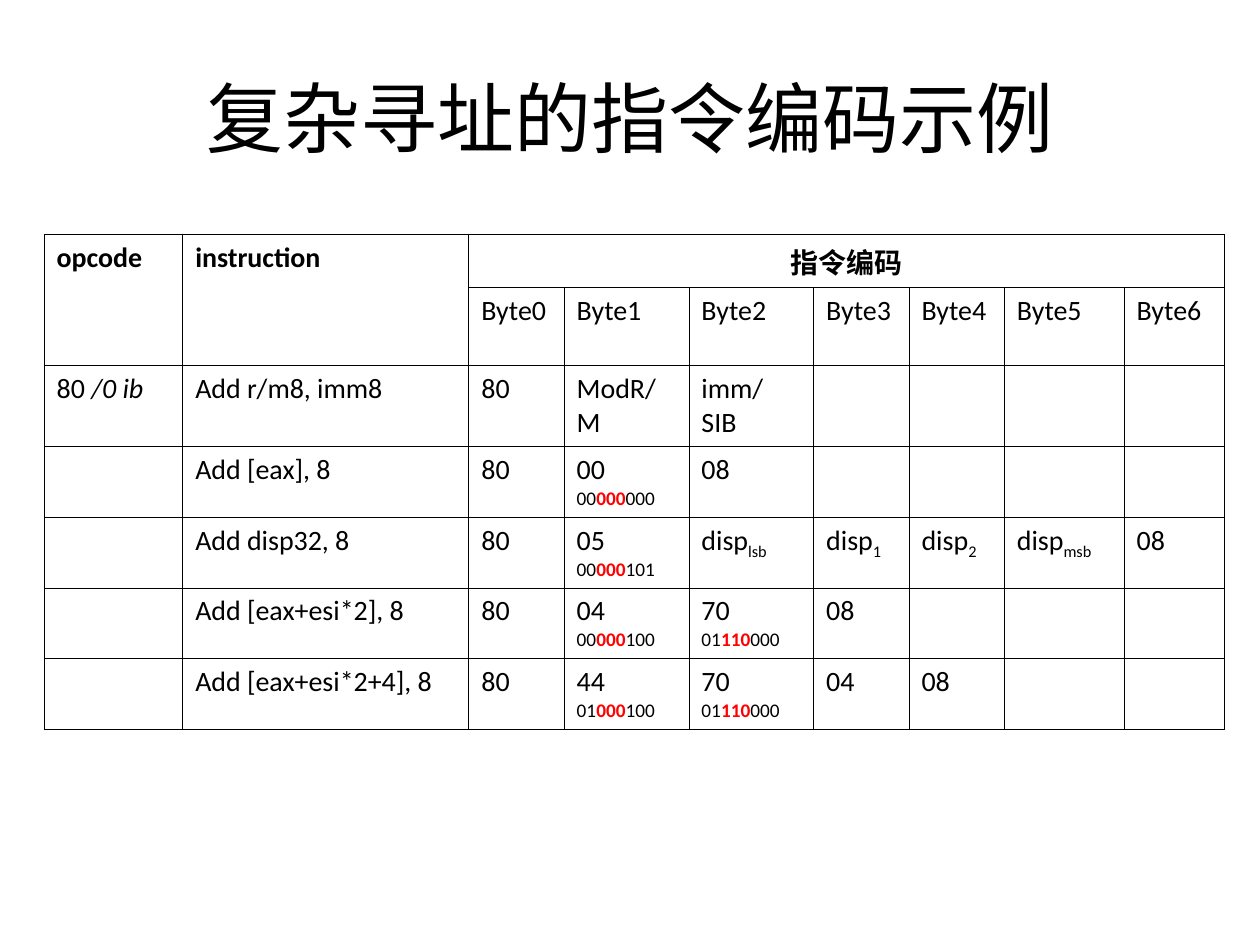
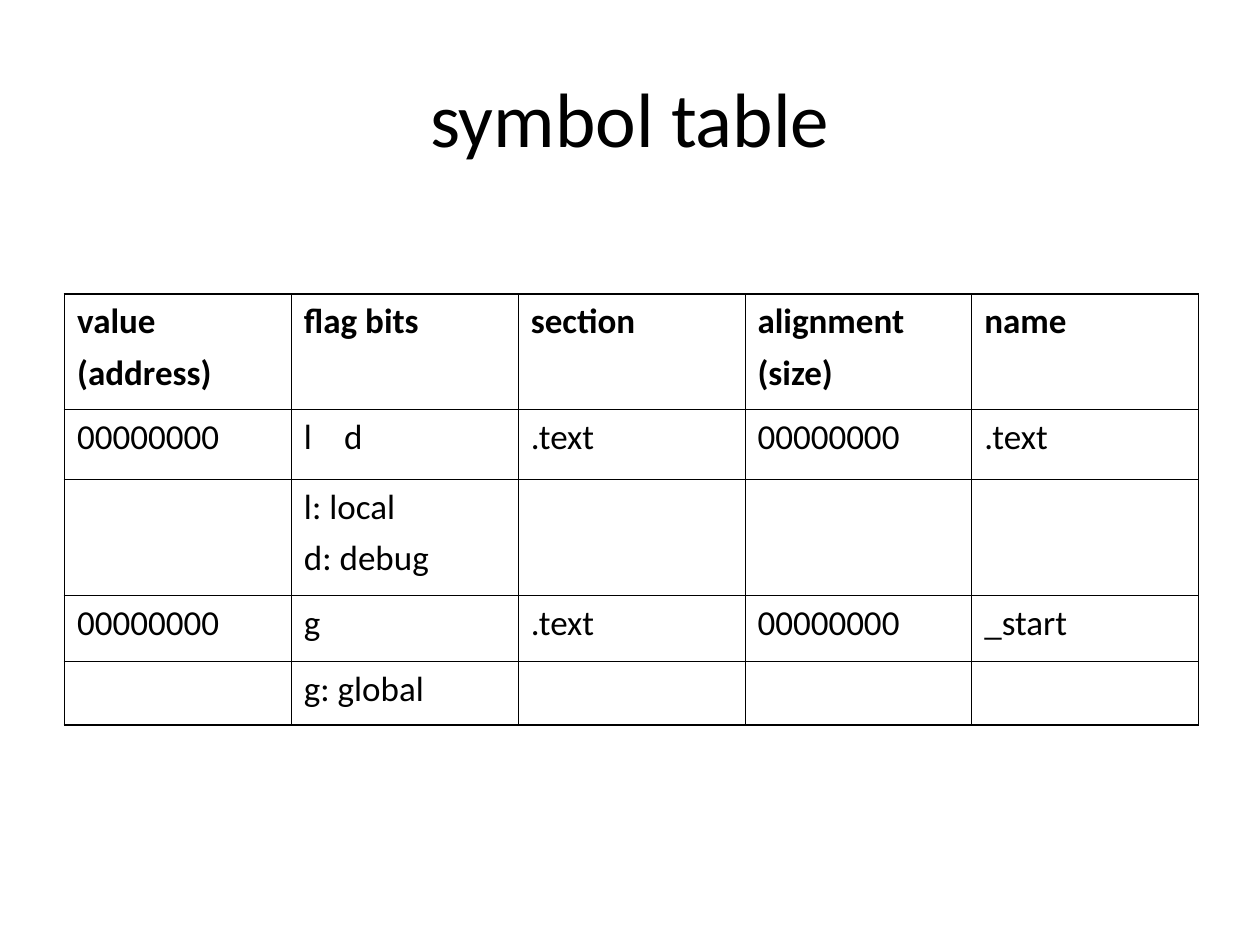
"""Build two slides: x86 instruction encoding examples and a symbol table."""
from lxml.etree import SubElement
from pptx import Presentation
from pptx.dml.color import RGBColor
from pptx.enum.text import MSO_ANCHOR, PP_ALIGN
from pptx.oxml.ns import qn
from pptx.util import Pt

COLORS = {"ink": "000000", "field": "FF0000"}
FONT = "Calibri"
TITLE_BOX = (36, 21.6, 648, 90)
TITLE_SIZE = 44
THIN, THICK = 0.45, 1.08
TAB_STOP = 23

HEAD = {"bold": True}
ITALIC = {"italic": True}
SUBSCRIPT = {"baseline": -25000}
BITS = {"size": 11}
FIELD_BITS = {"size": 11, "bold": True, "color": "field"}


def coded(value, mod, field, rm):
    return [[(value, {})], [(mod, BITS), (field, FIELD_BITS), (rm, BITS)]]


def disp(part):
    return [[("disp", {}), (part, SUBSCRIPT)]]


ENCODING = {
    "title": "复杂寻址的指令编码示例",
    "origin": (25.2, 134),
    "widths": [79.2, 163.5, 54.5, 71.3, 71.3, 54.5, 54.5, 68.4, 57.6],
    "heights": [30.2, 44.6, 46.4] + [40.3] * 4,
    "size": 16,
    "gap": 0,
    "outline": THIN,
    "merges": [(0, 0, 1, 0), (0, 1, 1, 1), (0, 2, 0, 8)],
    "centered": [(0, 2)],
    "rows": [
        ["opcode", "instruction", "指令编码"],
        ["", ""] + [f"Byte{number}" for number in range(7)],
        [[[("80 ", {}), ("/0 ib", ITALIC)]], "Add r/m8, imm8", "80", "ModR/M", "imm/\nSIB"],
        ["", "Add [eax], 8", "80", coded("00", "00", "000", "000"), "08"],
        ["", "Add disp32, 8", "80", coded("05", "00", "000", "101"),
         disp("lsb"), disp("1"), disp("2"), disp("msb"), "08"],
        ["", "Add [eax+esi*2], 8", "80", coded("04", "00", "000", "100"),
         coded("70", "01", "110", "000"), "08"],
        ["", "Add [eax+esi*2+4], 8", "80", coded("44", "01", "000", "100"),
         coded("70", "01", "110", "000"), "04", "08"],
    ],
}

SYMBOLS = {
    "title": "symbol table",
    "origin": (36.9, 168),
    "widths": [129.6] * 5,
    "heights": [66, 40, 66.2, 38, 36],
    "size": 20,
    "gap": 5,
    "outline": THICK,
    "merges": [],
    "centered": [],
    "rows": [
        ["value\n(address)", "flag bits", "section", "alignment\n(size)", "name"],
        ["00000000", "l\td", ".text", "00000000", ".text"],
        ["", "l: local\nd: debug"],
        ["00000000", "g", ".text", "00000000", "_start"],
        ["", "g: global"],
    ],
}


def add_run(paragraph, text, size, bold=False, italic=False, color="ink", baseline=None):
    run = paragraph.add_run()
    run.text = text
    font = run.font
    font.name, font.size, font.bold, font.italic = FONT, Pt(size), bold, italic
    font.color.rgb = RGBColor.from_string(COLORS[color])
    if baseline:
        font._element.set("baseline", str(baseline))


def add_tab_stop(paragraph):
    stops = SubElement(paragraph._p.get_or_add_pPr(), qn("a:tabLst"))
    SubElement(stops, qn("a:tab"), pos=str(Pt(TAB_STOP)), algn="l")


def fill_cell(cell, content, size, gap, style, align):
    if not content:
        return
    if isinstance(content, str):
        content = [[(line, style)] for line in content.split("\n")]
    for index, runs in enumerate(content):
        frame = cell.text_frame
        paragraph = frame.add_paragraph() if index else frame.paragraphs[0]
        paragraph.alignment = align
        if index and gap:
            paragraph.space_before = Pt(gap)
        if any("\t" in text for text, _ in runs):
            add_tab_stop(paragraph)
        for text, run_style in runs:
            add_run(paragraph, text, **{"size": size, **run_style})


def draw_borders(cell, widths):
    properties = cell._tc.get_or_add_tcPr()
    for side, width in zip("LRTB", widths):
        line = SubElement(properties, qn(f"a:ln{side}"), w=str(Pt(width)))
        fill = SubElement(line, qn("a:solidFill"))
        SubElement(fill, qn("a:srgbClr"), val=COLORS["ink"])


def add_title(slide, text):
    title = slide.shapes.title
    title.left, title.top, title.width, title.height = map(Pt, TITLE_BOX)
    title.text_frame.vertical_anchor = MSO_ANCHOR.MIDDLE
    paragraph = title.text_frame.paragraphs[0]
    paragraph.alignment = PP_ALIGN.CENTER
    add_run(paragraph, text, TITLE_SIZE)


def add_grid(slide, topic):
    widths, heights = topic["widths"], topic["heights"]
    last_row, last_column = len(heights) - 1, len(widths) - 1
    box = (*topic["origin"], sum(widths), sum(heights))
    table = slide.shapes.add_table(len(heights), len(widths), *map(Pt, box)).table
    table.first_row = table.horz_banding = False
    for column, width in zip(table.columns, widths):
        column.width = Pt(width)
    for r, (row, height) in enumerate(zip(topic["rows"], heights)):
        table.rows[r].height = Pt(height)
        for c in range(len(widths)):
            cell = table.cell(r, c)
            edges = (c == 0, c == last_column, r == 0, r == last_row)
            draw_borders(cell, [topic["outline"] if edge else THIN for edge in edges])
            cell.fill.background()
            align = PP_ALIGN.CENTER if (r, c) in topic["centered"] else PP_ALIGN.LEFT
            content = row[c] if c < len(row) else ""
            fill_cell(cell, content, topic["size"], topic["gap"], {} if r else HEAD, align)
    for top, left, bottom, right in topic["merges"]:
        table.cell(top, left).merge(table.cell(bottom, right))


def main():
    deck = Presentation()
    deck.slide_width, deck.slide_height = Pt(720), Pt(540)
    for topic in (ENCODING, SYMBOLS):
        slide = deck.slides.add_slide(deck.slide_layouts[5])
        add_title(slide, topic["title"])
        add_grid(slide, topic)
    deck.save("out.pptx")


if __name__ == "__main__":
    main()
